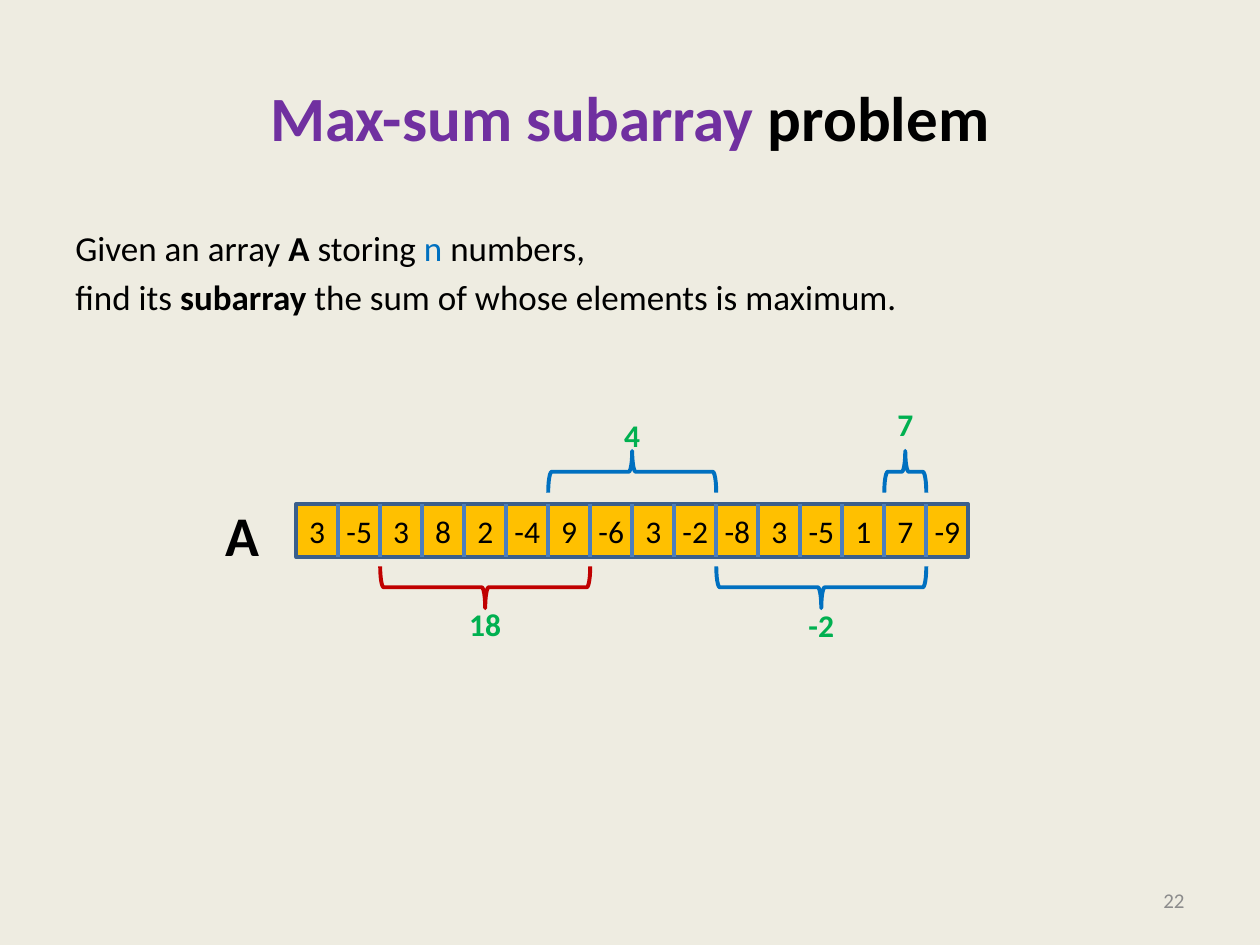
from dataclasses import dataclass

from lxml.etree import SubElement
from pptx import Presentation
from pptx.dml.color import RGBColor
from pptx.enum.shapes import MSO_CONNECTOR, MSO_SHAPE
from pptx.enum.text import MSO_ANCHOR, PP_ALIGN
from pptx.oxml.ns import qn
from pptx.util import Cm, Pt

COLORS = {
    "background": "EEECE1",
    "text": "000000",
    "title": "7030A0",
    "variable": "0070C0",
    "sum": "00B050",
    "best": "C00000",
    "candidate": "0070C0",
    "cell": "FFC000",
    "border": "3A5F8C",
    "divider": "4B7EBC",
    "page": "8C8C8C",
}
FONT = "Calibri"

# Array geometry in centimetres
NUMBERS = [3, -5, 3, 8, 2, -4, 9, -6, 3, -2, -8, 3, -5, 1, 7, -9]
ARRAY_LEFT, ARRAY_TOP, ARRAY_HEIGHT = 5.97, 10.16, 1.07
CELL_WIDTH = 13.55 / len(NUMBERS)
BRACE_DEPTH = 0.84
BRACE_ABOVE, BRACE_BELOW = 9.09, 11.42


@dataclass
class Run:
    text: str
    color: str = "text"
    bold: bool = False


@dataclass
class Subarray:
    first: int
    last: int
    above: bool
    label_top: float
    color: str = "candidate"


SUBARRAYS = [
    Subarray(2, 6, False, 12.07, "best"),
    Subarray(6, 9, True, 8.26),
    Subarray(14, 14, True, 8.05),
    Subarray(10, 14, False, 12.09),
]


def rgb(name: str) -> RGBColor:
    return RGBColor.from_string(COLORS[name])


def cell_left(index: int) -> float:
    return ARRAY_LEFT + index * CELL_WIDTH


def add_text(slide, paragraphs: list[list[Run]], left: float, top: float,
             width: float, height: float, *, size: float,
             align=PP_ALIGN.LEFT, anchor=MSO_ANCHOR.TOP,
             space_before: float = 0, margin: float = 0.25) -> None:
    box = slide.shapes.add_textbox(Cm(left), Cm(top), Cm(width), Cm(height))
    frame = box.text_frame
    frame.word_wrap = True
    frame.vertical_anchor = anchor
    frame.margin_left = frame.margin_right = Cm(margin)
    for number, runs in enumerate(paragraphs):
        paragraph = frame.add_paragraph() if number else frame.paragraphs[0]
        paragraph.alignment = align
        paragraph.space_before = Pt(space_before)
        for part in runs:
            run = paragraph.add_run()
            run.text = part.text
            run.font.name = FONT
            run.font.size = Pt(size)
            run.font.bold = part.bold
            run.font.color.rgb = rgb(part.color)


def add_array(slide) -> None:
    bar = slide.shapes.add_shape(
        MSO_SHAPE.RECTANGLE, Cm(ARRAY_LEFT), Cm(ARRAY_TOP),
        Cm(CELL_WIDTH * len(NUMBERS)), Cm(ARRAY_HEIGHT))
    bar.shadow.inherit = False
    bar.fill.solid()
    bar.fill.fore_color.rgb = rgb("cell")
    bar.line.color.rgb = rgb("border")
    bar.line.width = Pt(2)

    for index in range(1, len(NUMBERS)):
        x = Cm(cell_left(index))
        divider = slide.shapes.add_connector(
            MSO_CONNECTOR.STRAIGHT, x, Cm(ARRAY_TOP),
            x, Cm(ARRAY_TOP + ARRAY_HEIGHT))
        divider.line.color.rgb = rgb("divider")
        divider.line.width = Pt(2.25)
        SubElement(divider._element.spPr, qn("a:effectLst"))

    for index, value in enumerate(NUMBERS):
        add_text(slide, [[Run(str(value))]], cell_left(index), ARRAY_TOP,
                 CELL_WIDTH, ARRAY_HEIGHT, size=18, margin=0,
                 align=PP_ALIGN.CENTER, anchor=MSO_ANCHOR.MIDDLE)


def add_subarray(slide, subarray: Subarray) -> None:
    left = cell_left(subarray.first)
    span = cell_left(subarray.last + 1) - left
    center = left + span / 2
    top = BRACE_ABOVE if subarray.above else BRACE_BELOW

    # The upright brace is turned about its centre
    brace = slide.shapes.add_shape(
        MSO_SHAPE.RIGHT_BRACE, Cm(center - BRACE_DEPTH / 2),
        Cm(top + BRACE_DEPTH / 2 - span / 2), Cm(BRACE_DEPTH), Cm(span))
    brace.rotation = 270 if subarray.above else 90
    brace.shadow.inherit = False
    brace.fill.background()
    brace.line.color.rgb = rgb(subarray.color)
    brace.line.width = Pt(2.25)

    total = sum(NUMBERS[subarray.first:subarray.last + 1])
    add_text(slide, [[Run(str(total), "sum", True)]], center - 0.75,
             subarray.label_top, 1.5, 1.02, size=18, align=PP_ALIGN.CENTER)


def main() -> None:
    presentation = Presentation()
    presentation.slide_width = Cm(25.4)
    presentation.slide_height = Cm(19.05)
    slide = presentation.slides.add_slide(presentation.slide_layouts[6])
    slide.background.fill.solid()
    slide.background.fill.fore_color.rgb = rgb("background")

    # Title
    add_text(slide, [[Run("Max-sum subarray ", "title", True),
                      Run("problem", bold=True)]],
             1.27, 0.76, 22.86, 3.18, size=36,
             align=PP_ALIGN.CENTER, anchor=MSO_ANCHOR.MIDDLE)

    # Problem statement
    add_text(slide, [
        [Run("Given an array "), Run("A", bold=True), Run(" storing "),
         Run("n", "variable"), Run(" numbers,")],
        [Run("find its "), Run("subarray", bold=True),
         Run(" the sum of whose elements is maximum.")],
    ], 1.27, 4.45, 22.86, 12.57, size=20, space_before=4)

    # Array with its name and the marked subarrays
    add_array(slide)
    add_text(slide, [[Run("A", bold=True)]], 4.29, 9.96, 1.3, 1.62, size=32)
    for subarray in SUBARRAYS:
        add_subarray(slide, subarray)

    # Page number
    add_text(slide, [[Run("22", "page")]], 18.2, 17.65, 5.93, 1.01, size=12,
             align=PP_ALIGN.RIGHT, anchor=MSO_ANCHOR.MIDDLE)

    presentation.save("out.pptx")


if __name__ == "__main__":
    main()
